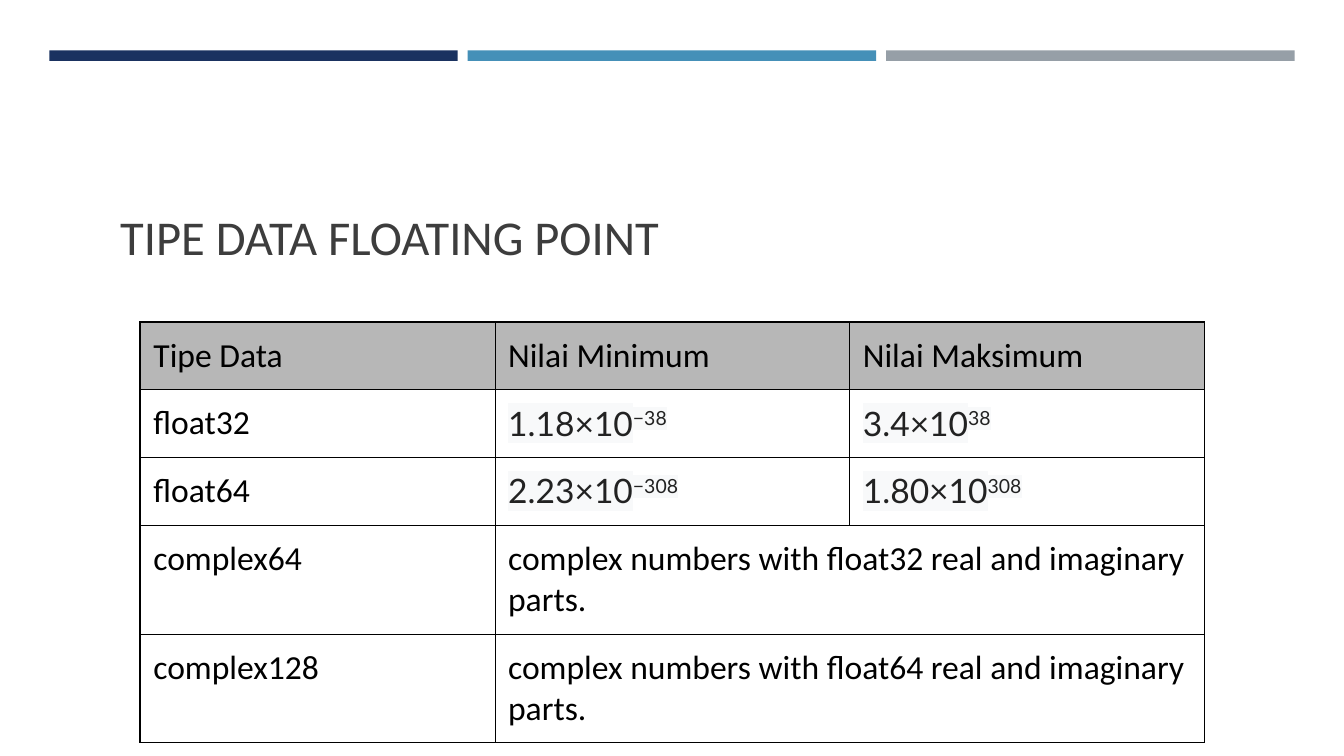
"""Build a slide with a table of floating point data types."""
from lxml.etree import SubElement
from pptx import Presentation
from pptx.dml.color import RGBColor
from pptx.enum.shapes import MSO_SHAPE
from pptx.enum.text import MSO_ANCHOR
from pptx.oxml.ns import qn
from pptx.util import Pt

RECTANGLE = MSO_SHAPE.RECTANGLE
TOP = MSO_ANCHOR.TOP
INSETS = dict.fromkeys(["margin_left", "margin_right", "margin_top", "margin_bottom"], Pt(9.36))


def color(hex_code):
    return RGBColor.from_string(hex_code)


def add_run(paragraph, text, size, font, hex_code):
    run = paragraph.add_run()
    run.text = text
    run.font.size = Pt(size)
    run.font.name = font
    run.font.color.rgb = color(hex_code)
    return run


prs = Presentation()
prs.slide_width, prs.slide_height = Pt(960), Pt(540)
slide = prs.slides.add_slide(prs.slide_layouts[6])

for index, hex_code in enumerate(["1A3260", "4590B8", "969FA7"]):
    band = slide.shapes.add_shape(RECTANGLE, Pt(35.2 + index * 298.9), Pt(36), Pt(291.7), Pt(7.5))
    band.shadow.inherit = False
    band.fill.solid()
    band.fill.fore_color.rgb = color(hex_code)
    band.line.fill.background()

title = slide.shapes.add_textbox(Pt(76.5), Pt(138.5), Pt(807), Pt(56)).text_frame
for key, value in {**INSETS, "word_wrap": True, "vertical_anchor": TOP}.items():
    setattr(title, key, value)
add_run(title.paragraphs[0], "TIPE DATA FLOATING POINT", 34.7, "Calibri", "3D3D3D")

rows = [
    ["Tipe Data", "Nilai Minimum", "Nilai Maksimum"],
    ["float32", ("1.18×10", "−38"), ("3.4×10", "38")],
    ["float64", ("2.23×10", "−308"), ("1.80×10", "308")],
    ["complex64", "complex numbers with float32 real and imaginary parts."],
    ["complex128", "complex numbers with float64 real and imaginary parts."],
]
heights = [48.5, 48.5, 48.5, 77.5, 77.5]
last_row, last_col = len(rows) - 1, 2
types = slide.shapes.add_table(
    len(rows), 3, Pt(100.2), Pt(230), Pt(760.2), Pt(sum(heights))).table
types.first_row = types.horz_banding = False
for column in types.columns:
    column.width = Pt(253.4)

for r, (values, height) in enumerate(zip(rows, heights)):
    types.rows[r].height = Pt(height)
    if len(values) == 2:
        types.cell(r, 1).merge(types.cell(r, 2))
    for c in range(3):
        cell = types.cell(r, c)
        for key, value in {**INSETS, "vertical_anchor": TOP}.items():
            setattr(cell, key, value)
        outer_edges = {
            "a:lnL": c == 0,
            "a:lnR": c == last_col or cell.is_merge_origin,
            "a:lnT": r == 0,
            "a:lnB": r == last_row,
        }
        for edge, outer in outer_edges.items():
            border = SubElement(cell._tc.get_or_add_tcPr(), qn(edge), w=str(Pt(1.5 if outer else 0.75)))
            SubElement(SubElement(border, qn("a:solidFill")), qn("a:srgbClr"), val="000000")
        if r == 0:
            cell.fill.solid()
            cell.fill.fore_color.rgb = color("B7B7B7")
        else:
            cell.fill.background()
        if c >= len(values):
            continue
        paragraph = cell.text_frame.paragraphs[0]
        if isinstance(values[c], str):
            add_run(paragraph, values[c], 24, "Calibri", "000000")
            continue
        for part, baseline in zip(values[c], ["0", "30000"]):
            properties = add_run(paragraph, part, 24, "Lato", "222222")._r.get_or_add_rPr()
            properties.set("baseline", baseline)
            highlight = SubElement(properties, qn("a:highlight"))
            SubElement(highlight, qn("a:srgbClr"), val="F8F9FA")
            properties.find(qn("a:latin")).addprevious(highlight)

prs.save("out.pptx")
